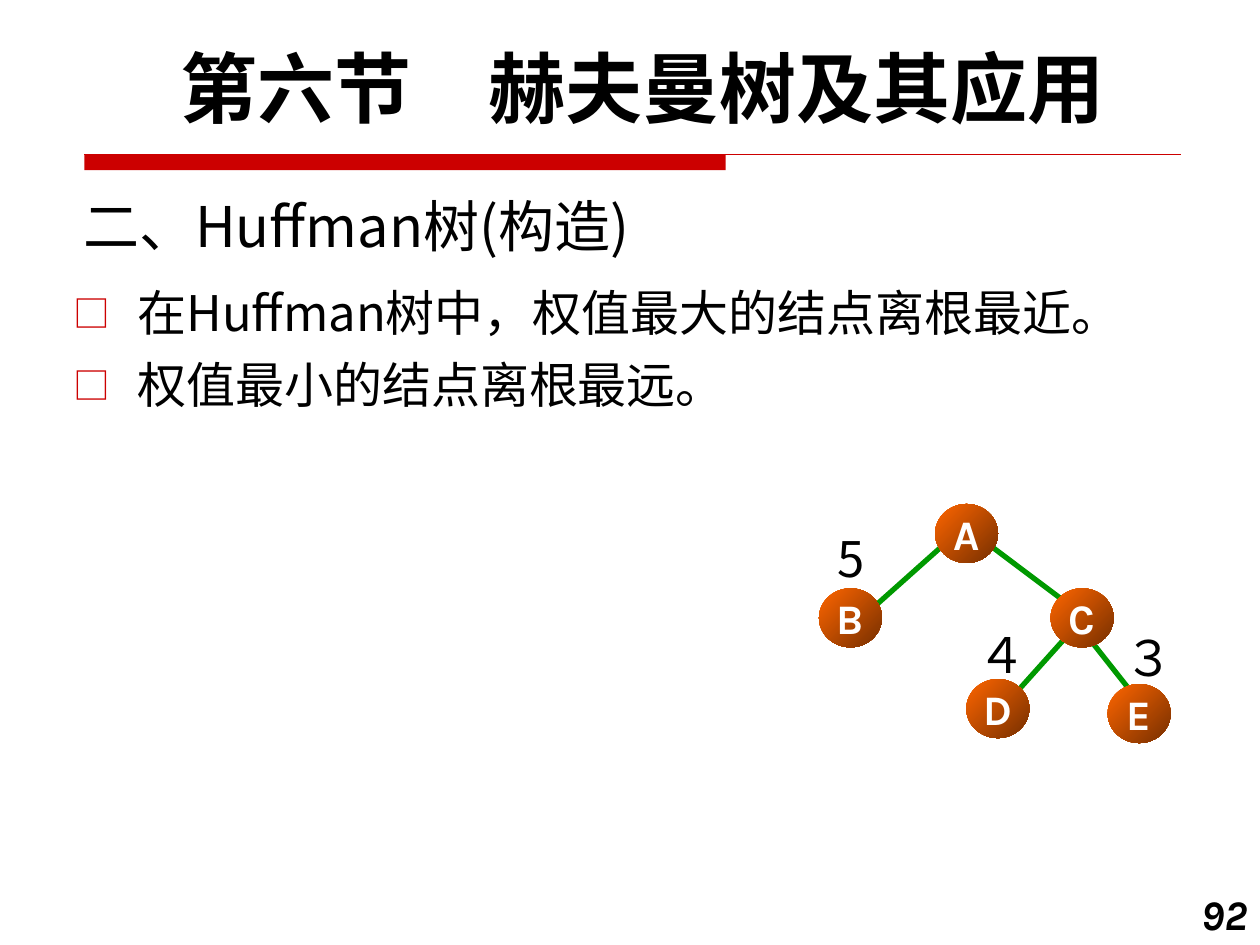
from lxml import etree
from pptx import Presentation
from pptx import util as u
from pptx.dml import color
from pptx.enum import shapes, text
from pptx.oxml import ns

CJK, LATIN = "Noto Sans CJK SC", "Karla"
BLACK, WHITE, RED, GREEN = "000000", "FFFFFF", "CC0000", "009900"
NODE_WIDTH, NODE_HEIGHT = 1.27, 1.19

# Tree, in centimetres: node corners, edge ends, weight label corners
NODES = {"A": (18.85, 10.16), "B": (16.51, 11.86), "C": (21.18, 11.86),
         "D": (19.48, 13.69), "E": (22.33, 13.79)}
EDGES = [(19.79, 10.87, 21.39, 12.07), (19.15, 10.87, 17.58, 12.27),
         (21.69, 12.62, 20.55, 13.89), (21.82, 12.7, 22.76, 13.89)]
WEIGHTS = {"5": (16.74, 10.52), "３": (22.66, 12.52), "４": (19.71, 12.47)}


def rgb(value):
    return color.RGBColor.from_string(value)


def lengths(*values):
    return [u.Cm(value) for value in values]


def write(paragraph, content, size=28, font=CJK, ink=BLACK, bold=False,
          italic=False, align=text.PP_ALIGN.LEFT, before=0, line=1.0):
    paragraph.alignment = align
    paragraph.space_before = u.Pt(before)
    paragraph.line_spacing = line
    run = paragraph.add_run()
    run.text = content
    run.font.size = u.Pt(size)
    run.font.name = font
    run.font.bold, run.font.italic = bold, italic
    run.font.color.rgb = rgb(ink)
    east_asian = etree.SubElement(run.font._element, ns.qn("a:ea"))
    east_asian.set("typeface", CJK)


def add_bullet(paragraph, character, ink, indent):
    properties = paragraph._p.get_or_add_pPr()
    properties.set("marL", str(u.Cm(indent)))
    properties.set("indent", str(-u.Cm(indent)))
    bullet_color = etree.SubElement(properties, ns.qn("a:buClr"))
    etree.SubElement(bullet_color, ns.qn("a:srgbClr")).set("val", ink)
    etree.SubElement(properties, ns.qn("a:buSzPct")).set("val", "75000")
    etree.SubElement(properties, ns.qn("a:buFont")).set("typeface", CJK)
    etree.SubElement(properties, ns.qn("a:buChar")).set("char", character)


def place(shape, left, top, width, height):
    shape.left, shape.top, shape.width, shape.height = lengths(left, top, width, height)


def add_text(slide, box, content, wrap=True, side_margin=0.25, **style):
    frame = slide.shapes.add_textbox(*lengths(*box)).text_frame
    frame.word_wrap = wrap
    frame.margin_left = frame.margin_right = u.Cm(side_margin)
    write(frame.paragraphs[0], content, **style)


def add_line(slide, ends, ink, width):
    line = slide.shapes.add_connector(shapes.MSO_CONNECTOR.STRAIGHT, *lengths(*ends))
    line.line.color.rgb = rgb(ink)
    line.line.width = u.Pt(width)
    etree.SubElement(line._element.spPr, ns.qn("a:effectLst"))


def add_node(slide, name, left, top):
    node = slide.shapes.add_shape(shapes.MSO_SHAPE.OVAL,
                                  *lengths(left, top, NODE_WIDTH, NODE_HEIGHT))
    node.shadow.inherit = False
    node.line.fill.background()
    node.fill.gradient()
    node.fill.gradient_angle = 315
    for stop, ink in zip(node.fill.gradient_stops, ("FF6600", "762F00")):
        stop.color.rgb = rgb(ink)
    frame = node.text_frame
    frame.word_wrap = False
    frame.margin_left = frame.margin_right = 0
    frame.vertical_anchor = text.MSO_ANCHOR.MIDDLE
    write(frame.paragraphs[0], name, size=24, font=LATIN, ink=WHITE, bold=True,
          align=text.PP_ALIGN.CENTER)


def add_rule(slide):
    band = slide.shapes.add_shape(shapes.MSO_SHAPE.RECTANGLE,
                                  *lengths(1.7, 3.12, 12.93, 0.31))
    band.shadow.inherit = False
    band.fill.solid()
    band.fill.fore_color.rgb = rgb(RED)
    band.line.fill.background()
    add_line(slide, (1.7, 3.12, 23.8, 3.12), RED, 0.75)


def fill_title(title, content):
    place(title, 1.42, 3.45, 15.88, 1.9)
    title.text_frame.auto_size = text.MSO_AUTO_SIZE.NONE
    title.text_frame.vertical_anchor = text.MSO_ANCHOR.BOTTOM
    write(title.text_frame.paragraphs[0], content, size=32)


def fill_body(body, items):
    place(body, 1.22, 5.56, 24.33, 11.43)
    frame = body.text_frame
    frame.auto_size = text.MSO_AUTO_SIZE.NONE
    for index, item in enumerate(items):
        paragraph = frame.add_paragraph() if index else frame.paragraphs[0]
        add_bullet(paragraph, "□", RED, 1.3)
        write(paragraph, item, before=7.5 if index else 0)


def add_tree(slide):
    for ends in EDGES:
        add_line(slide, ends, GREEN, 3)
    for name, corner in NODES.items():
        add_node(slide, name, *corner)
    for weight, corner in WEIGHTS.items():
        add_text(slide, (*corner, 0.84, 1.45), weight, wrap=False, side_margin=0,
                 align=text.PP_ALIGN.CENTER)


def main():
    presentation = Presentation()
    presentation.slide_width, presentation.slide_height = lengths(25.4, 19.05)
    slide = presentation.slides.add_slide(presentation.slide_layouts[1])

    # Chapter heading, rule and page number
    add_text(slide, (1.22, 0.91, 23.5, 1.96), "第六节　赫夫曼树及其应用", size=44,
             font=LATIN, bold=True, align=text.PP_ALIGN.CENTER, line=0.9)
    add_rule(slide)
    add_text(slide, (23.7, 17.78, 1.7, 1.27), "92", size=24, font=LATIN,
             bold=True, italic=True, align=text.PP_ALIGN.RIGHT)

    # Section title and statements
    fill_title(slide.shapes.title, "二、Huffman树(构造)")
    fill_body(slide.placeholders[1], ["在Huffman树中，权值最大的结点离根最近。",
                                      "权值最小的结点离根最远。"])

    # Huffman tree
    add_tree(slide)
    presentation.save("out.pptx")


if __name__ == "__main__":
    main()
